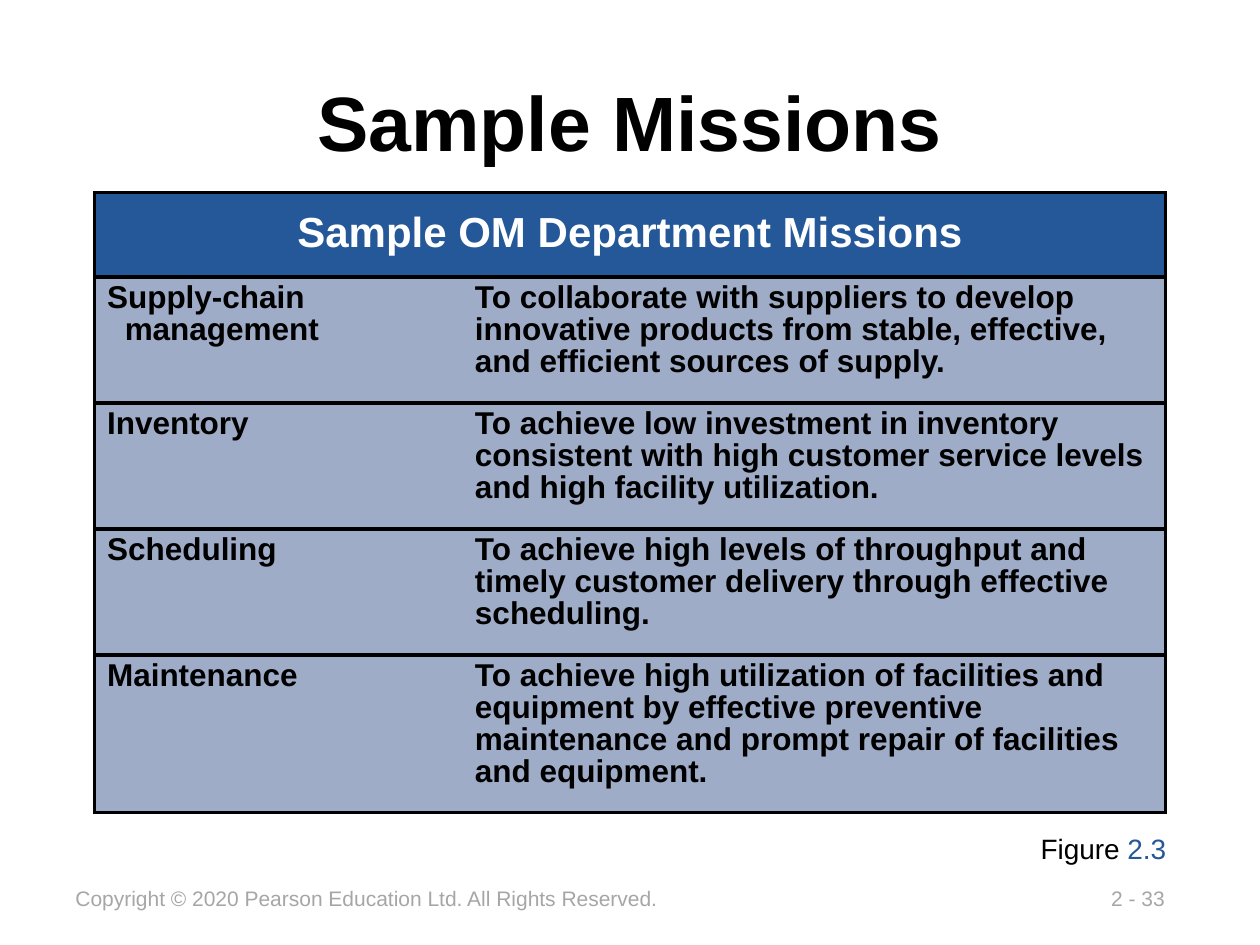
from typing import NamedTuple

from lxml.etree import SubElement
from pptx import Presentation
from pptx.dml.color import RGBColor
from pptx.enum.text import MSO_ANCHOR as Anchor, MSO_AUTO_SIZE as AutoSize, PP_ALIGN as Align
from pptx.oxml.ns import qn
from pptx.util import Inches, Pt

COLORS = {
    "black": "000000",
    "white": "FFFFFF",
    "grey": "A6A6A6",
    "blue": "255898",
    "pale_blue": "9FACC7",
}
NO_STYLE_ID = "{2D5ABB26-0587-4C30-8999-92F81FD0307C}"
BORDER_TAGS = {"left": "a:lnL", "right": "a:lnR", "top": "a:lnT", "bottom": "a:lnB"}
HANGING_INDENT = Inches(0.14)


class Mission(NamedTuple):
    department: str
    statement: str
    height: float


class Label(NamedTuple):
    left: float
    top: float
    width: float
    height: float
    size: int
    runs: list[tuple[str, str]]


MISSIONS = [
    Mission("Supply-chain\vmanagement",
            "To collaborate with suppliers to develop innovative products "
            "from stable, effective, and efficient sources of supply.", 1),
    Mission("Inventory",
            "To achieve low investment in inventory consistent with high "
            "customer service levels and high facility utilization.", 1),
    Mission("Scheduling",
            "To achieve high levels of throughput and timely customer "
            "delivery through effective scheduling.", 1),
    Mission("Maintenance",
            "To achieve high utilization of facilities and equipment by effective "
            "preventive maintenance and prompt repair of facilities and equipment.", 1.25),
]
LABELS = [
    Label(8.72, 6.98, 0.65, 0.3, 12, [("2 - 33", "grey")]),
    Label(0.5, 6.98, 4.92, 0.3, 12,
          [("Copyright © 2020 Pearson Education Ltd. All Rights Reserved.", "grey")]),
    Label(8.16, 6.55, 1.25, 0.37, 16, [("Figure ", "black"), ("2.3", "blue")]),
]


def set_attributes(target, values: dict) -> None:
    for name, value in values.items():
        setattr(target, name, value)


def format_font(font, size: int, color: str, bold: bool = False) -> None:
    set_attributes(font, {"name": "Arial", "size": Pt(size), "bold": bold})
    font.color.rgb = RGBColor.from_string(COLORS[color])


def add_title(slide, text: str) -> None:
    title = slide.shapes.title
    set_attributes(title, {"left": Inches(0.75), "top": Inches(0.48),
                           "width": Inches(8.5), "height": Inches(0.95)})
    frame = title.text_frame
    frame.text = text
    set_attributes(frame, {"auto_size": AutoSize.NONE, "vertical_anchor": Anchor.MIDDLE})
    paragraph = frame.paragraphs[0]
    paragraph.alignment = Align.CENTER
    format_font(paragraph.runs[0].font, 44, "black", bold=True)


def add_label(slide, label: Label) -> None:
    box = slide.shapes.add_textbox(*map(Inches, label[:4]))
    set_attributes(box.text_frame, {"word_wrap": False, "auto_size": AutoSize.SHAPE_TO_FIT_TEXT})
    paragraph = box.text_frame.paragraphs[0]
    for text, color in label.runs:
        run = paragraph.add_run()
        run.text = text
        format_font(run.font, label.size, color)


def set_borders(cell, sides: list[str]) -> None:
    """Draw black lines on the given sides; call before the cell is filled."""
    properties = cell._tc.get_or_add_tcPr()
    for side, tag in BORDER_TAGS.items():
        line = SubElement(properties, qn(tag), w=str(Pt(2.25)))
        if side in sides:
            fill = SubElement(line, qn("a:solidFill"))
            SubElement(fill, qn("a:srgbClr"), val=COLORS["black"])
        else:
            SubElement(line, qn("a:noFill"))


def fill_cell(cell, text: str, sides: list[str], fill: str, color: str, size: int):
    """Write and style one cell, and return its paragraph."""
    set_borders(cell, sides)
    cell.fill.solid()
    cell.fill.fore_color.rgb = RGBColor.from_string(COLORS[fill])
    cell.text = text
    paragraph = cell.text_frame.paragraphs[0]
    set_attributes(paragraph, {"line_spacing": 0.9, "space_after": Pt(0.4 * size)})
    for run in paragraph.runs:
        format_font(run.font, size, color, bold=True)
    return paragraph


def add_mission_table(slide, heading: str, missions: list[Mission]) -> None:
    heights = [0.67] + [mission.height for mission in missions]
    frame = slide.shapes.add_table(len(heights), 2, Inches(0.75), Inches(1.53),
                                   Inches(8.5), Inches(sum(heights)))
    table = frame.table
    table._tbl.tblPr.find(qn("a:tableStyleId")).text = NO_STYLE_ID
    set_attributes(table, {"first_row": False, "horz_banding": False})
    for column, width in zip(table.columns, (2.92, 5.58)):
        column.width = Inches(width)
    for row, height in zip(table.rows, heights):
        row.height = Inches(height)

    header = table.cell(0, 0)
    header.merge(table.cell(0, 1))
    set_borders(table.cell(0, 1), ["right", "top", "bottom"])
    paragraph = fill_cell(header, heading, list(BORDER_TAGS), "blue", "white", 24)
    paragraph.alignment = Align.CENTER
    header.vertical_anchor = Anchor.MIDDLE

    for row, mission in enumerate(missions, start=1):
        for column, outer_side in enumerate(("left", "right")):
            paragraph = fill_cell(table.cell(row, column), mission[column],
                                  [outer_side, "top", "bottom"], "pale_blue", "black", 18)
            if column == 0:
                properties = paragraph._p.get_or_add_pPr()
                properties.set("marL", str(HANGING_INDENT))
                properties.set("indent", str(-HANGING_INDENT))


def main() -> None:
    presentation = Presentation()
    set_attributes(presentation, {"slide_width": Inches(10), "slide_height": Inches(7.5)})
    slide = presentation.slides.add_slide(presentation.slide_layouts[5])
    add_title(slide, "Sample Missions")
    add_mission_table(slide, "Sample OM Department Missions", MISSIONS)
    for label in LABELS:
        add_label(slide, label)
    presentation.save("out.pptx")


if __name__ == "__main__":
    main()
